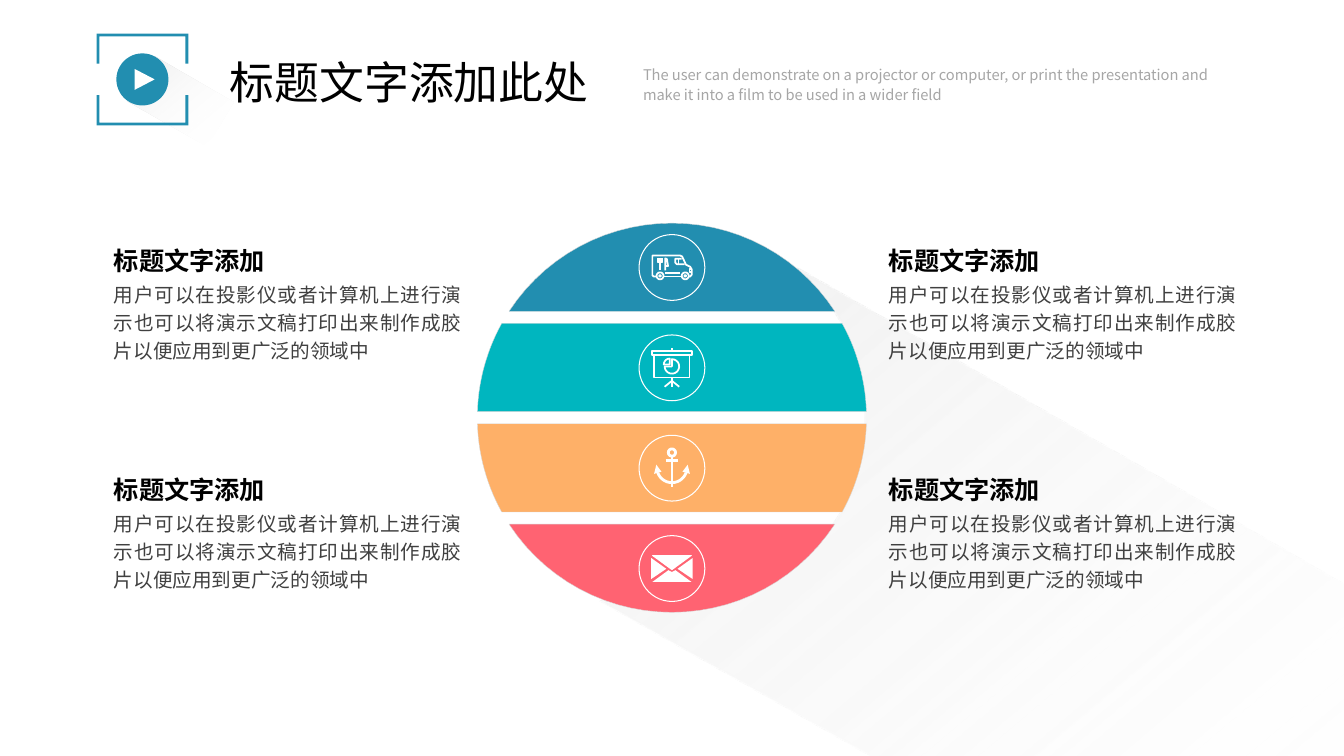
from dataclasses import dataclass
from math import asin, cos, degrees, radians, sin

from lxml import etree
from pptx import Presentation
from pptx.dml.color import RGBColor
from pptx.enum.shapes import MSO_SHAPE
from pptx.enum.text import MSO_ANCHOR, PP_ALIGN
from pptx.oxml.ns import qn
from pptx.util import Pt

ELLIPSE, TRIANGLE = MSO_SHAPE.OVAL, MSO_SHAPE.ISOSCELES_TRIANGLE
LEFT, JUSTIFY = PP_ALIGN.LEFT, PP_ALIGN.JUSTIFY
TOP, MIDDLE = MSO_ANCHOR.TOP, MSO_ANCHOR.MIDDLE


@dataclass(frozen=True)
class Theme:
    blue: str = "228EB0"
    bands: tuple = ("228EB0", "00B6BF", "FEB068", "FF6372")
    white: str = "FFFFFF"
    black: str = "000000"
    body: str = "404040"
    muted: str = "A6A6A6"
    edge: str = "D7D7D7"
    shade: str = "D9D9D9"
    pale: str = "F2F2F2"
    font: str = "Arial"
    note_font: str = "Noto Sans CJK SC"
    title_size: float = 32
    heading_size: float = 18
    body_size: float = 14
    note_size: float = 10.5


THEME = Theme()
HEADING = "标题文字添加"
BODY = "用户可以在投影仪或者计算机上进行演示也可以将演示文稿打印出来制作成胶片以便应用到更广泛的领域中"
NOTE = ("The user can demonstrate on a projector or computer, or print the presentation "
        "and make it into a film to be used in a wider field")


def arc(x, y, radius, start, end, steps=14):
    """Points along an arc; angles in degrees, clockwise from the right."""
    angles = [radians(start + (end - start) * i / steps) for i in range(steps + 1)]
    return [(x + radius * cos(a), y + radius * sin(a)) for a in angles]


# Icon parts, in points from the icon centre
VAN = {
    "strokes": [
        [(-11, 6.5), (-13, 6.5), (-14, 5.5), (-14, -8.5), (6, -8.5), (7.3, -7.8), (10, -2),
         (13, -0.5), (14.2, 1.5), (14.2, 5), (13, 6.5), (12, 6.5)],
        [(-6, 6.5), (7, 6.5)],
        [(-10.1, -7), (-10.1, -3.5), (-7, -3.5), (-7, -7)],
        [(-8.5, -7), (-8.5, 2)],
        [(-4.8, 2), (-4.8, -6.5), (-3.6, -6), (-2.8, -1), (-4.8, -1)],
        [(7, -6.2), (2.3, -6.2), (2.3, -3.5), (3.5, -2.3), (9, -2.3)],
        [(4.6, -6.2), (4.6, -2.3)],
        [(14, 1), (12.6, 1), (12.6, 3), (14, 3)],
        [(-4.8, 4), (6, 4)],
        arc(-8.5, 6, 2.5, 0, 360), arc(9.5, 6, 2.5, 0, 360),
        arc(-8.5, 6, 0.6, 0, 360, 6), arc(9.5, 6, 0.6, 0, 360, 6),
    ],
}
BOARD = {
    "strokes": [
        [(-14.2, -12), (14.2, -12), (14.2, -9), (-14.2, -9), (-14.2, -12)],
        [(-12.6, -9), (-12.6, 7), (12.6, 7), (12.6, -9)],
        [(0, -14), (0, -12)], [(0, 7), (0, 13.5)],
        [(-5.2, 13.5), (0, 9.3), (5.2, 13.5)],
        [(0, -1)] + arc(0, -1, 5.2, -90, 180) + [(0, -1)],
        [(-1.6, -2.4)] + arc(-1.6, -2.4, 4.2, 180, 270, 6) + [(-1.6, -2.4)],
    ],
}
ANCHOR = {
    "width": 2,
    "strokes": [[(0, -8.5), (0, 13.5)], [(-4.5, -5.5), (4.5, -5.5)],
                arc(0, -0.5, 10.8, 20, 160), arc(0, -11.2, 2.6, 0, 360)],
    "solids": [[(-12.8, 4), (-11.2, -2.5), (-7.5, 2.5)],
               [(12.8, 4), (11.2, -2.5), (7.5, 2.5)]],
}
ENVELOPE = {
    "solids": [
        [(-14.8, -7.5), (-4, 0.2), (-14.8, 7.5)], [(14.8, -7.5), (4, 0.2), (14.8, 7.5)],
        [(-14.2, -9.5), (14.2, -9.5), (14, -9), (0, 1.2), (-14, -9)],
        [(-14, 9.6), (-2.5, 1.2), (0, 2.5), (2.5, 1.2), (14, 9.6)],
    ],
}
ICONS = (VAN, BOARD, ANCHOR, ENVELOPE)


def paint(shape, fill=None, line=None, width=0.75):
    shape.shadow.inherit = False
    if fill:
        shape.fill.solid()
        shape.fill.fore_color.rgb = RGBColor.from_string(fill)
    else:
        shape.fill.background()
    if line:
        shape.line.color.rgb = RGBColor.from_string(line)
        shape.line.width = Pt(width)
    else:
        shape.line.fill.background()
    return shape


def outline(slide, contours, x=0, y=0, closed=True):
    """One freeform of several contours, given relative to x, y."""
    placed = [[(Pt(x + dx), Pt(y + dy)) for dx, dy in contour] for contour in contours]
    builder = slide.shapes.build_freeform(*placed[0][0])
    for index, contour in enumerate(placed):
        if index:
            builder.move_to(*contour[0])
        builder.add_line_segments(contour[1:], close=closed)
    return builder.convert_to_shape()


def disc(slide, x, y, radius):
    return slide.shapes.add_shape(ELLIPSE, Pt(x - radius), Pt(y - radius), Pt(2 * radius), Pt(2 * radius))


def cast_shadow(slide, points, centre, stops):
    """A fading long shadow, turned by 30 degrees about its centre."""
    turn, (cx, cy) = radians(-30), centre
    level = [(cx + (x - cx) * cos(turn) - (y - cy) * sin(turn),
              cy + (x - cx) * sin(turn) + (y - cy) * cos(turn)) for x, y in points]
    shape = paint(outline(slide, [level]), fill=THEME.shade)
    shape.rotation = 30
    solid = shape._element.spPr.find(qn("a:solidFill"))
    gradient = etree.Element(qn("a:gradFill"), rotWithShape="1")
    stop_list = etree.SubElement(gradient, qn("a:gsLst"))
    for position, color, alpha in stops:
        stop = etree.SubElement(stop_list, qn("a:gs"), pos=str(position * 1000))
        value = etree.SubElement(stop, qn("a:srgbClr"), val=color)
        etree.SubElement(value, qn("a:alpha"), val=str(alpha * 1000))
    etree.SubElement(gradient, qn("a:lin"), ang=str(20 * 60000), scaled="0")
    solid.getparent().replace(solid, gradient)


def write(shape, box, text, size, color, font=THEME.font, bold=False,
          align=LEFT, spacing=None, wrap=True, anchor=TOP):
    shape.left, shape.top, shape.width, shape.height = [Pt(v) for v in box]
    frame = shape.text_frame
    frame.word_wrap, frame.vertical_anchor = wrap, anchor
    paragraph = frame.paragraphs[0]
    paragraph.text, paragraph.alignment = text, align
    if spacing:
        paragraph.line_spacing = spacing
    paragraph.font.name, paragraph.font.size, paragraph.font.bold = font, Pt(size), bold
    paragraph.font.color.rgb = RGBColor.from_string(color)


def text_box(slide, box, *args, **options):
    write(slide.shapes.add_textbox(*[Pt(v) for v in box]), box, *args, **options)


def add_header(slide, left, top):
    # Framed play mark with its shadow
    side, arm, edge = 65.5, 21.5, 2
    shadow = [(22.3, 48), (40.3, 37), (41.8, 16.2), (98, 48.6), (79.2, 80.3)]
    cast_shadow(slide, [(left + x, top + y) for x, y in shadow], (left + 60.2, top + 48.6),
                [(0, THEME.shade, 50), (85, THEME.white, 0), (100, THEME.white, 0)])
    bracket = [(0, 0), (side, 0), (side, arm), (side - edge, arm),
               (side - edge, edge), (edge, edge), (edge, arm), (0, arm)]
    flipped = [(x, side - y) for x, y in bracket]
    paint(outline(slide, [bracket, flipped], left, top), fill=THEME.blue)
    paint(disc(slide, left + side / 2, top + side / 2, 18.6), fill=THEME.blue)
    play = slide.shapes.add_shape(TRIANGLE, Pt(left + 26.8), Pt(top + 25.5), Pt(15), Pt(14.4))
    paint(play, fill=THEME.white).rotation = 90
    # Title and note
    write(slide.shapes.title, (left + 88, top + 11.3, 273, 46), "标题文字添加此处",
          THEME.title_size, THEME.black, wrap=False, anchor=MIDDLE)
    text_box(slide, (left + 383.2, top + 18, 438.5, 36), NOTE, THEME.note_size,
             THEME.muted, font=THEME.note_font, spacing=1.14)


def add_icon(slide, x, y, icon):
    paint(disc(slide, x, y, 23.5), line=THEME.white)
    if "strokes" in icon:
        paint(outline(slide, icon["strokes"], x, y, closed=False),
              line=THEME.white, width=icon.get("width", 1.25))
    if "solids" in icon:
        paint(outline(slide, icon["solids"], x, y), fill=THEME.white)


def add_banded_circle(slide, x, y, radius):
    # Long shadow running off the lower right corner
    edge = [(565.2, 189.4), (1031, 458.6), (893.5, 695.5), (428.4, 429.1)]
    cast_shadow(slide, edge + arc(x, y, radius, 107, -50), (729, 443.5),
                [(0, THEME.shade, 40), (85, THEME.pale, 0), (100, THEME.white, 0)])
    # Four bands, each with its icon
    gap = 8.7
    height = (2 * radius - 3 * gap) / 4
    for row, (color, icon) in enumerate(zip(THEME.bands, ICONS)):
        top = -radius + row * (height + gap)
        start, end = [degrees(asin(max(-1, min(1, v / radius)))) for v in (top, top + height)]
        sides = arc(x, y, radius, start, end) + arc(x, y, radius, 180 - end, 180 - start)
        paint(outline(slide, [sides]), fill=color, line=THEME.edge, width=0.25)
        add_icon(slide, x, y + top + height / 2 + 0.2, icon)


def add_text_block(slide, left, top):
    text_box(slide, (left, top + 27.4, 262.4, 68.4), BODY, THEME.body_size, THEME.body,
             align=JUSTIFY, spacing=1.2)
    text_box(slide, (left, top, 176.4, 31.7), HEADING, THEME.heading_size, THEME.black,
             bold=True, align=JUSTIFY, spacing=1.2)


def main():
    presentation = Presentation()
    presentation.slide_width, presentation.slide_height = Pt(960), Pt(540)
    slide = presentation.slides.add_slide(presentation.slide_layouts[5])
    add_banded_circle(slide, 480, 298.4, 139)
    add_header(slide, 69, 24)
    for left in (627.8, 74.2):
        for top in (167.5, 331):
            add_text_block(slide, left, top)
    presentation.save("out.pptx")


if __name__ == "__main__":
    main()
